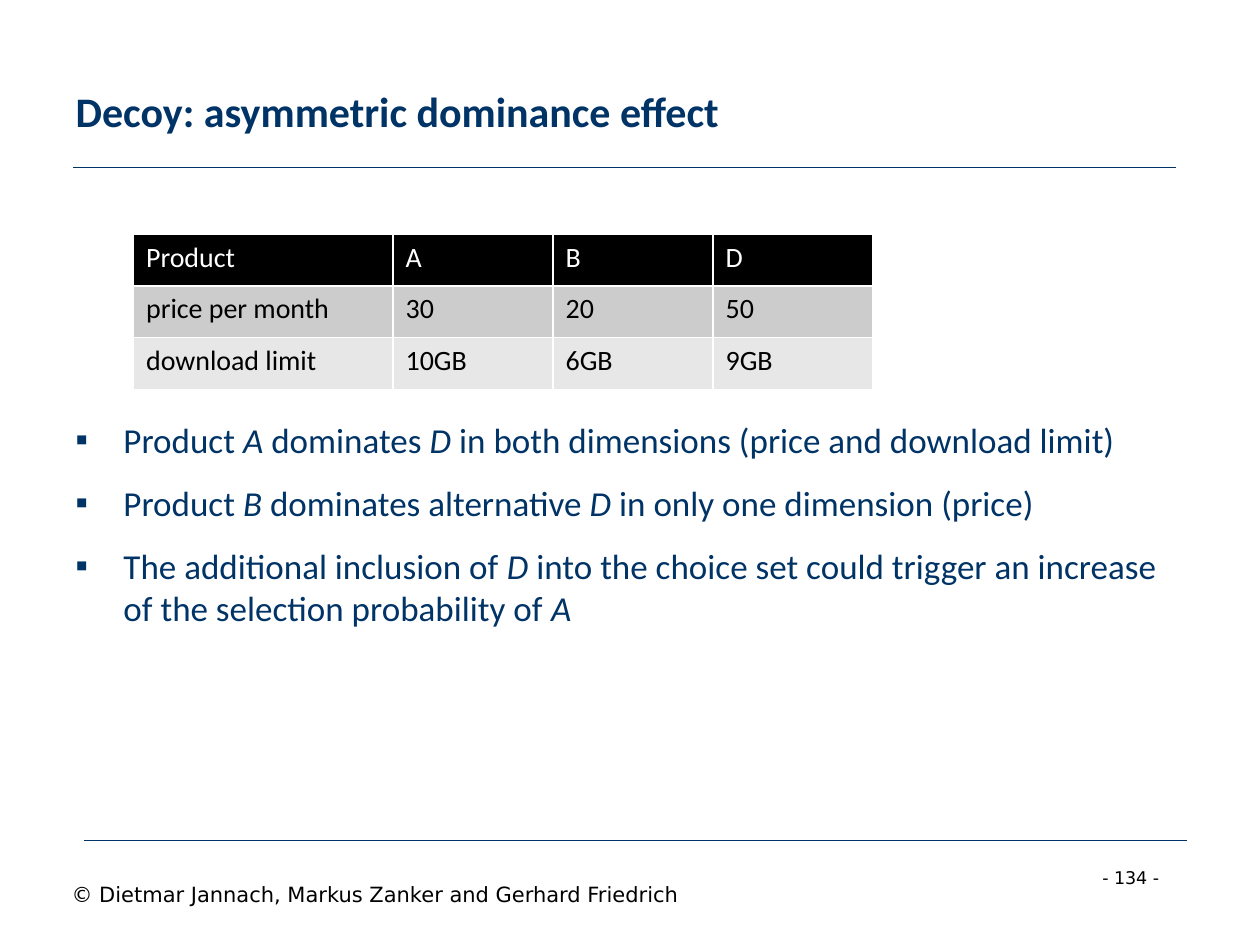
import dataclasses

import lxml.etree
import pptx
import pptx.dml.color
import pptx.enum.shapes
import pptx.enum.text
import pptx.oxml.ns
import pptx.util

Inches = pptx.util.Inches
Pt = pptx.util.Pt
qn = pptx.oxml.ns.qn
AutoSize = pptx.enum.text.MSO_AUTO_SIZE

COLORS = {
    "navy": "003366",
    "black": "000000",
    "white": "FFFFFF",
    "gray": "CCCCCC",
    "light": "E7E7E7",
}


@dataclasses.dataclass(frozen=True)
class Rule:
    left: float
    top: float
    width: float = 8.75


@dataclasses.dataclass(frozen=True)
class Label:
    text: str
    left: float
    top: float
    width: float
    height: float
    size: int
    wrap: bool


@dataclasses.dataclass(frozen=True)
class Row:
    cells: tuple[str, ...]
    fill: str
    color: str


@dataclasses.dataclass(frozen=True)
class Bullet:
    upright_then_italic: tuple[str, ...]


RULES = [Rule(0.58, 1.33), Rule(0.67, 6.67)]
LABELS = [
    Label("- 134 -", 8.65, 6.83, 0.76, 0.27, 10, False),
    Label("© Dietmar Jannach, Markus Zanker and Gerhard Friedrich",
          0.47, 6.95, 6.34, 0.3, 12, True),
]
ROWS = [
    Row(("Product", "A", "B", "D"), "black", "white"),
    Row(("price per month", "30", "20", "50"), "gray", "black"),
    Row(("download limit", "10GB", "6GB", "9GB"), "light", "black"),
]
COLUMN_WIDTHS = [2.06, 1.27, 1.27, 1.27]
ROW_HEIGHT = 0.41
BULLETS = [
    Bullet(("Product ", "A ", "dominates ", "D ",
            "in both dimensions (price and download limit)")),
    Bullet(("Product ", "B ", "dominates alternative ", "D ",
            "in only one dimension (price)")),
    Bullet(("The additional inclusion of ", "D ",
            "into the choice set could trigger an increase "
            "of the selection probability of ", "A")),
]


def rgb(name: str) -> pptx.dml.color.RGBColor:
    return pptx.dml.color.RGBColor.from_string(COLORS[name])


def set_font(font, name: str, size: int, color: str, bold: bool = False) -> None:
    font.name = name
    font.size = Pt(size)
    font.bold = bold
    font.color.rgb = rgb(color)


def place(shape, left: float, top: float, width: float, height: float) -> None:
    shape.left, shape.top = Inches(left), Inches(top)
    shape.width, shape.height = Inches(width), Inches(height)


def draw_rule(page, rule: Rule) -> None:
    line = page.shapes.add_connector(
        pptx.enum.shapes.MSO_CONNECTOR.STRAIGHT,
        Inches(rule.left), Inches(rule.top),
        Inches(rule.left + rule.width), Inches(rule.top))
    line.line.color.rgb = rgb("navy")
    line.line.width = Pt(0.75)
    lxml.etree.SubElement(line._element.spPr, qn("a:effectLst"))


def draw_label(page, label: Label) -> None:
    box = page.shapes.add_textbox(
        Inches(label.left), Inches(label.top),
        Inches(label.width), Inches(label.height))
    box.text_frame.word_wrap = label.wrap
    box.text_frame.auto_size = AutoSize.SHAPE_TO_FIT_TEXT
    para = box.text_frame.paragraphs[0]
    para.text = label.text
    set_font(para.font, "DejaVu Sans", label.size, "black")


def fill_title(title) -> None:
    place(title, 0.5, 0.25, 9, 1.25)
    frame = title.text_frame
    frame.auto_size = AutoSize.NONE
    frame.vertical_anchor = pptx.enum.text.MSO_ANCHOR.MIDDLE
    para = frame.paragraphs[0]
    para.text = "Decoy: asymmetric dominance effect"
    para.alignment = pptx.enum.text.PP_ALIGN.LEFT
    set_font(para.font, "Calibri", 24, "navy", bold=True)


def fill_body(body, bullets: list[Bullet]) -> None:
    place(body, 0.5, 3.27, 9, 3.43)
    frame = body.text_frame
    frame.auto_size = AutoSize.NONE
    for index, bullet in enumerate(bullets):
        para = frame.add_paragraph() if index else frame.paragraphs[0]
        para.space_before = Pt(12 if index else 0)
        properties = para._p.get_or_add_pPr()
        properties.set("marL", str(Inches(0.38)))
        properties.set("indent", str(-Inches(0.38)))
        lxml.etree.SubElement(properties, qn("a:buFont"), typeface="Calibri")
        lxml.etree.SubElement(properties, qn("a:buChar"), char="▪")
        set_font(para.font, "Calibri", 20, "navy")
        for position, text in enumerate(bullet.upright_then_italic):
            span = para.add_run()
            span.text = text
            span.font.italic = position % 2 == 1


def add_borders(cell) -> None:
    properties = cell._tc.get_or_add_tcPr()
    for side in ("L", "R", "T", "B"):
        border = lxml.etree.SubElement(
            properties, qn(f"a:ln{side}"), w=str(Pt(1)))
        fill = lxml.etree.SubElement(border, qn("a:solidFill"))
        lxml.etree.SubElement(fill, qn("a:srgbClr"), val=COLORS["white"])


def draw_table(page, rows: list[Row]) -> None:
    table = page.shapes.add_table(
        len(rows), len(COLUMN_WIDTHS), Inches(1.06), Inches(1.86),
        Inches(sum(COLUMN_WIDTHS)), Inches(ROW_HEIGHT * len(rows))).table
    for column, width in zip(table.columns, COLUMN_WIDTHS):
        column.width = Inches(width)
    for row_index, row in enumerate(rows):
        table.rows[row_index].height = Inches(ROW_HEIGHT)
        for column_index, text in enumerate(row.cells):
            cell = table.cell(row_index, column_index)
            add_borders(cell)
            cell.fill.solid()
            cell.fill.fore_color.rgb = rgb(row.fill)
            para = cell.text_frame.paragraphs[0]
            para.text = text
            set_font(para.font, "Calibri", 16, row.color)


def main() -> None:
    deck = pptx.Presentation()
    deck.slide_width, deck.slide_height = Inches(10), Inches(7.5)
    page = deck.slides.add_slide(deck.slide_layouts[1])
    fill_title(page.shapes.title)
    fill_body(page.placeholders[1], BULLETS)
    for rule in RULES:
        draw_rule(page, rule)
    for label in LABELS:
        draw_label(page, label)
    draw_table(page, ROWS)
    deck.save("out.pptx")


if __name__ == "__main__":
    main()
